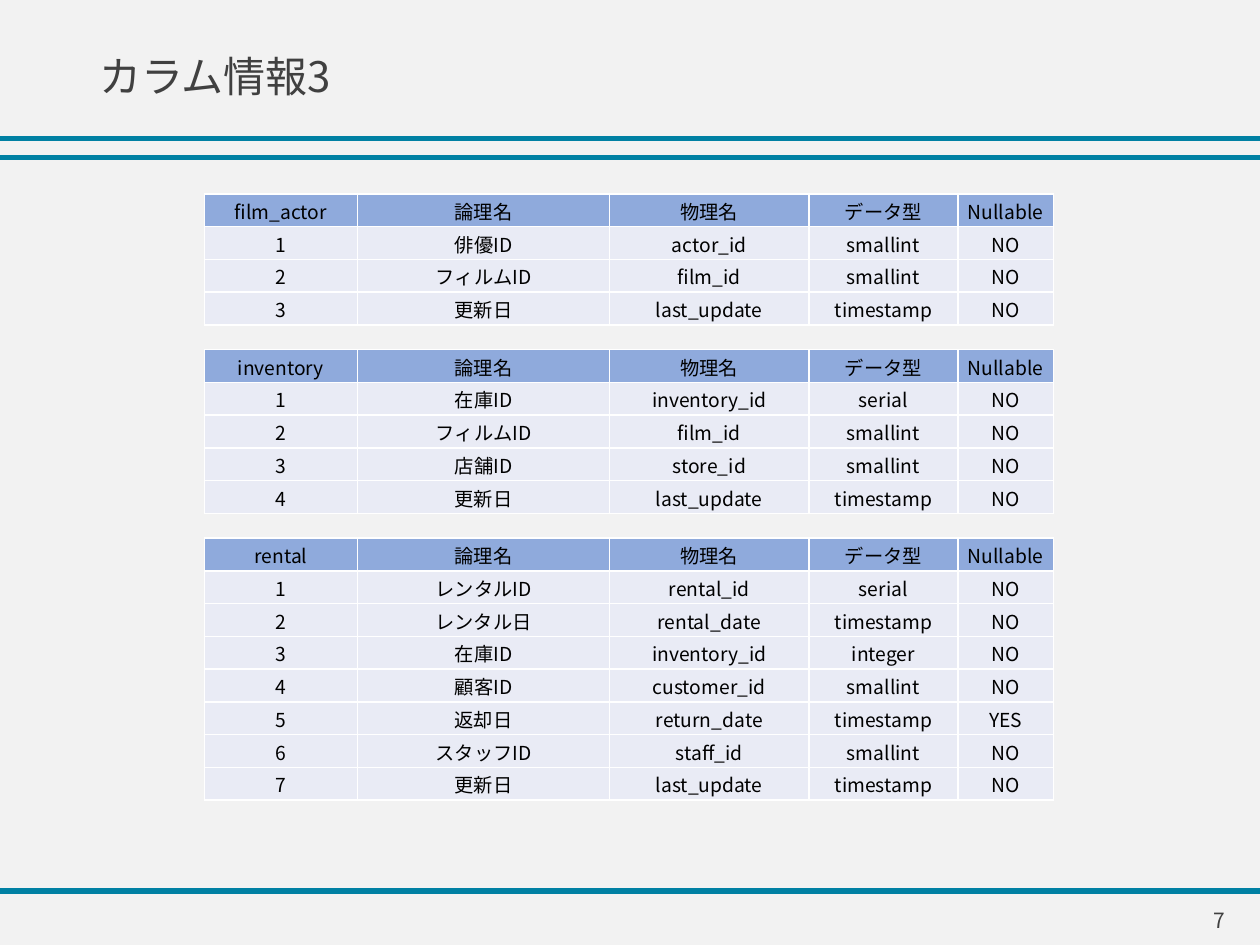
from lxml.etree import SubElement
from pptx import Presentation
from pptx.dml.color import RGBColor
from pptx.enum.lang import MSO_LANGUAGE_ID
from pptx.enum.shapes import MSO_CONNECTOR
from pptx.enum.text import MSO_ANCHOR, PP_ALIGN
from pptx.oxml.ns import qn
from pptx.util import Cm, Pt

BACKGROUND = RGBColor(0xF2, 0xF2, 0xF2)
TEAL = RGBColor(0x00, 0x80, 0xA3)
GRAY = RGBColor(0x40, 0x40, 0x40)
BLACK = RGBColor(0x00, 0x00, 0x00)
WHITE = RGBColor(0xFF, 0xFF, 0xFF)
HEADER_BLUE = RGBColor(0x8F, 0xAA, 0xDC)
BODY_BLUE = RGBColor(0xE9, 0xEB, 0xF5)

PAGE_WIDTH, PAGE_HEIGHT = 25.4, 19.05
RULE_TOPS = (2.79, 3.18, 17.96)
TABLE_LEFT, FIRST_TABLE_TOP = 4.12, 3.91
TABLE_GAP, ROW_HEIGHT = 0.5, 0.66
COLUMN_WIDTHS = (3.09, 5.08, 4.02, 3.0, 1.93)
HEADINGS = ("論理名", "物理名", "データ型", "Nullable")

TABLES = {
    "film_actor": [
        ("俳優ID", "actor_id", "smallint", "NO"),
        ("フィルムID", "film_id", "smallint", "NO"),
        ("更新日", "last_update", "timestamp", "NO"),
    ],
    "inventory": [
        ("在庫ID", "inventory_id", "serial", "NO"),
        ("フィルムID", "film_id", "smallint", "NO"),
        ("店舗ID", "store_id", "smallint", "NO"),
        ("更新日", "last_update", "timestamp", "NO"),
    ],
    "rental": [
        ("レンタルID", "rental_id", "serial", "NO"),
        ("レンタル日", "rental_date", "timestamp", "NO"),
        ("在庫ID", "inventory_id", "integer", "NO"),
        ("顧客ID", "customer_id", "smallint", "NO"),
        ("返却日", "return_date", "timestamp", "YES"),
        ("スタッフID", "staff_id", "smallint", "NO"),
        ("更新日", "last_update", "timestamp", "NO"),
    ],
}


class SlideWriter:
    font_name = "Noto Sans CJK JP"

    def __init__(self, page):
        self.page = page
        fill = page.background.fill
        fill.solid()
        fill.fore_color.rgb = BACKGROUND

    def add_span(self, para, text, size, color):
        span = para.add_run()
        span.text = text
        span.font.name = self.font_name
        span.font.size = Pt(size)
        span.font.color.rgb = color
        span.font.language_id = MSO_LANGUAGE_ID.JAPANESE
        properties = span.font._element
        SubElement(properties, qn("a:ea"), typeface=self.font_name)

    def add_rule(self, top):
        rule = self.page.shapes.add_connector(
            MSO_CONNECTOR.STRAIGHT, Cm(0), Cm(top), Cm(PAGE_WIDTH), Cm(top))
        rule.line.color.rgb = TEAL
        rule.line.width = Pt(3)
        SubElement(rule._element.spPr, qn("a:effectLst"))

    def add_text(self, text, left, top, width, height, size, align, spacing=1.0):
        box = self.page.shapes.add_textbox(Cm(left), Cm(top), Cm(width), Cm(height))
        frame = box.text_frame
        frame.word_wrap = True
        frame.vertical_anchor = MSO_ANCHOR.MIDDLE
        para = frame.paragraphs[0]
        para.alignment = align
        para.line_spacing = spacing
        self.add_span(para, text, size, GRAY)

    def add_borders(self, cell):
        properties = cell._tc.get_or_add_tcPr()
        for side in ("lnL", "lnR", "lnT", "lnB"):
            line = SubElement(properties, qn(f"a:{side}"), w=str(Pt(1)))
            fill = SubElement(line, qn("a:solidFill"))
            SubElement(fill, qn("a:srgbClr"), val=str(WHITE))

    def fill_cell(self, cell, text, color):
        self.add_borders(cell)
        cell.fill.solid()
        cell.fill.fore_color.rgb = color
        cell.margin_left = cell.margin_right = cell.margin_top = Cm(0.02)
        cell.margin_bottom = Cm(0)
        cell.vertical_anchor = MSO_ANCHOR.MIDDLE
        para = cell.text_frame.paragraphs[0]
        para.alignment = PP_ALIGN.CENTER
        self.add_span(para, text, 11, BLACK)

    def add_column_table(self, name, columns, top):
        rows = [(name, *HEADINGS)]
        rows += [(str(number), *column) for number, column in enumerate(columns, 1)]
        height = ROW_HEIGHT * len(rows)
        table = self.page.shapes.add_table(
            len(rows), len(COLUMN_WIDTHS), Cm(TABLE_LEFT), Cm(top),
            Cm(sum(COLUMN_WIDTHS)), Cm(height)).table
        table.horz_banding = False
        for column, width in zip(table.columns, COLUMN_WIDTHS):
            column.width = Cm(width)
        table.first_row = True
        for row_index, values in enumerate(rows):
            table.rows[row_index].height = Cm(ROW_HEIGHT)
            color = BODY_BLUE if row_index else HEADER_BLUE
            for column_index, value in enumerate(values):
                self.fill_cell(table.cell(row_index, column_index), value, color)
        return top + height


def main():
    deck = Presentation()
    deck.slide_width, deck.slide_height = Cm(PAGE_WIDTH), Cm(PAGE_HEIGHT)
    writer = SlideWriter(deck.slides.add_slide(deck.slide_layouts[6]))
    for top in RULE_TOPS:
        writer.add_rule(top)
    writer.add_text("カラム情報3", 1.75, 0.38, 16.54, 2.41, 24, PP_ALIGN.LEFT, 0.9)
    top = FIRST_TABLE_TOP
    for name, columns in TABLES.items():
        top = writer.add_column_table(name, columns, top) + TABLE_GAP
    writer.add_text("7", 19.23, 18.03, 5.72, 1.02, 12, PP_ALIGN.RIGHT)
    deck.save("out.pptx")


if __name__ == "__main__":
    main()
